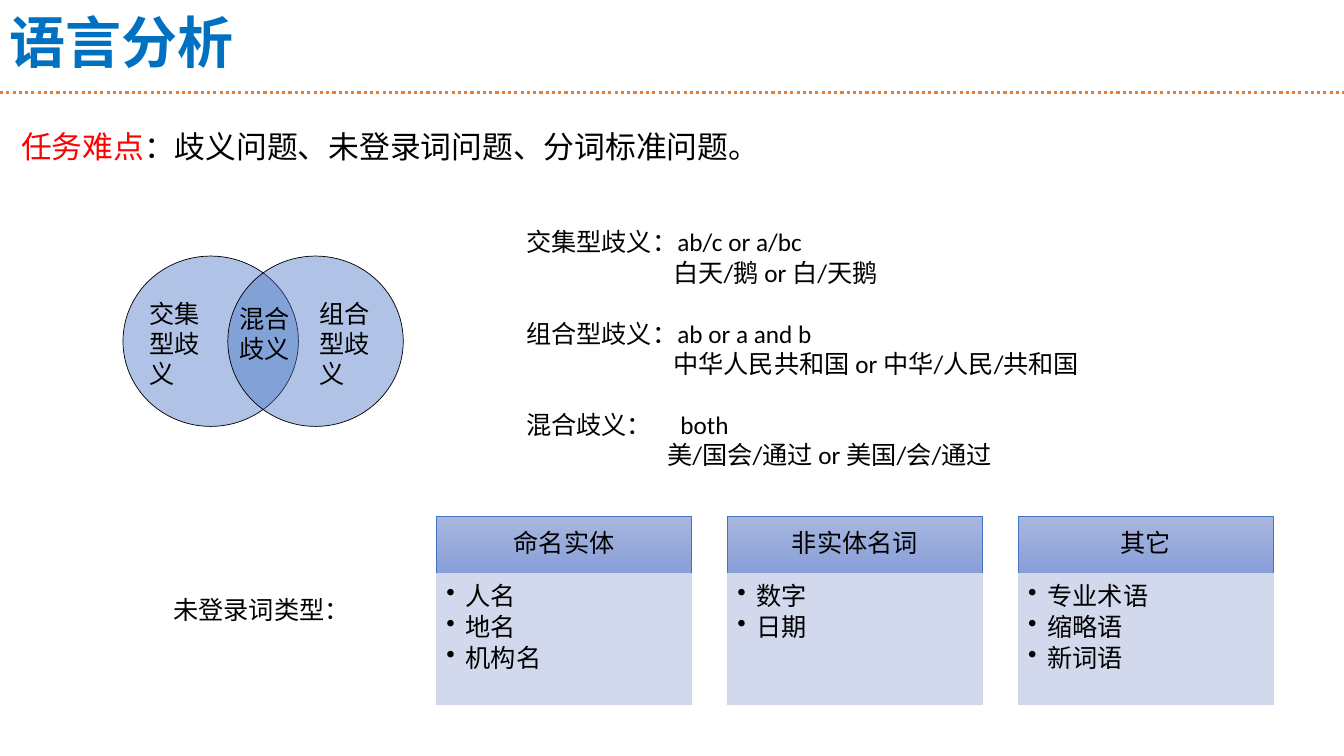
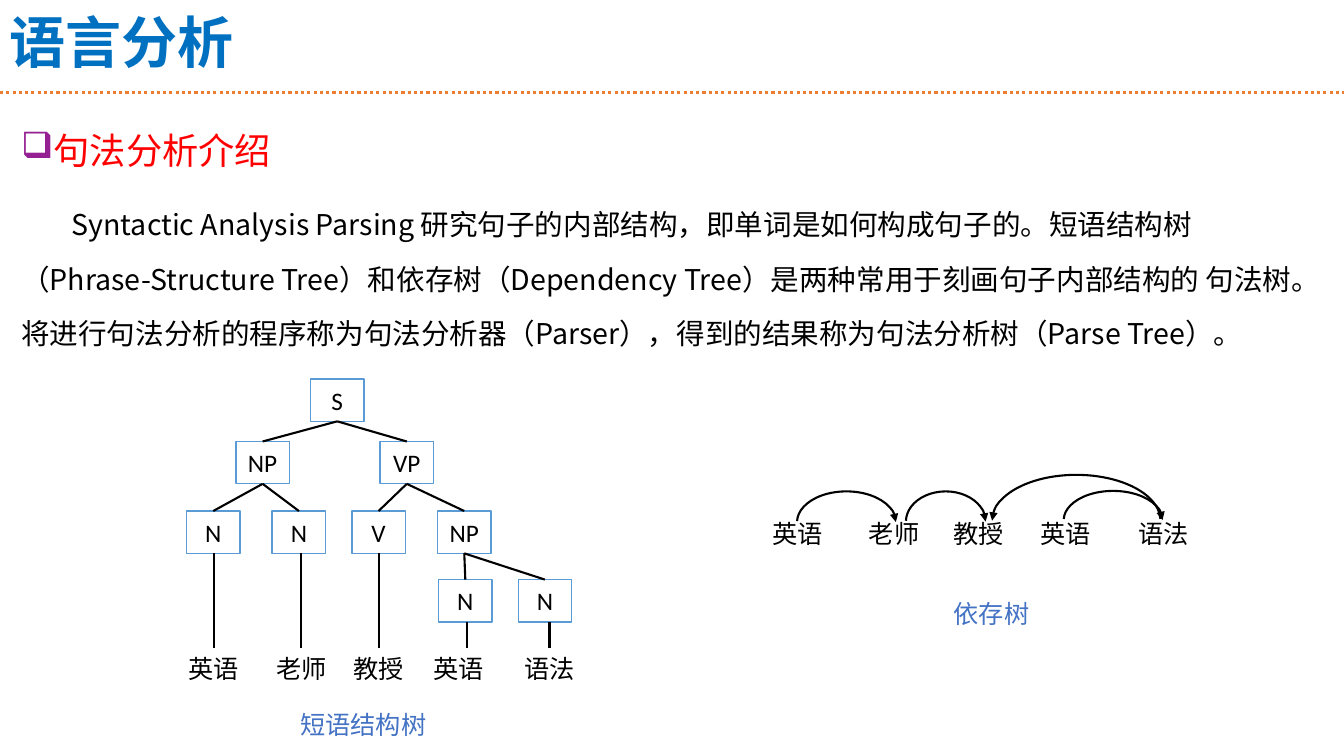
from lxml import etree
from pptx import Presentation
from pptx.dml.color import RGBColor
from pptx.enum.dml import MSO_LINE
from pptx.enum.lang import MSO_LANGUAGE_ID
from pptx.enum.shapes import MSO_CONNECTOR, MSO_SHAPE
from pptx.enum.text import MSO_ANCHOR, PP_ALIGN
from pptx.oxml.ns import qn
from pptx.util import Inches, Pt

CIRCLE, RECTANGLE, ARC = MSO_SHAPE.FLOWCHART_CONNECTOR, MSO_SHAPE.RECTANGLE, MSO_SHAPE.ARC
STRAIGHT, DOTTED = MSO_CONNECTOR.STRAIGHT, MSO_LINE.ROUND_DOT
TOP, MIDDLE = MSO_ANCHOR.TOP, MSO_ANCHOR.MIDDLE
LEFT, CENTER = PP_ALIGN.LEFT, PP_ALIGN.CENTER
CHINESE = MSO_LANGUAGE_ID.SIMPLIFIED_CHINESE

COLORS = {
    "title": "0070C0",
    "rule": "ED7D31",
    "key": "FF0000",
    "text": "000000",
    "accent": "4472C4",
    "bullet": "942093",
    "node": "5B9BD5",
    "white": "FFFFFF",
    "card": "CFD5EA",
    "card_top": "A8B7DF",
    "card_bottom": "889ED7",
}
HEADING_FONT = "Noto Sans CJK SC"
LABEL = {"name": "Calibri", "size": Pt(18), "bold": False, "color": "text"}
TITLE = {"name": HEADING_FONT, "size": Pt(40), "bold": True, "color": "title"}
BODY = {**LABEL, "name": HEADING_FONT, "size": Pt(22)}
CAPTION = {**LABEL, "name": HEADING_FONT, "color": "accent"}
BODY_INSETS = (0.08, 0.05, 0.1, 0.05)


def add_box(page, at, lines, kind=None, fill=None, outline=None, weight=0.5,
            opacity=100, anchor=TOP, insets=(0.1, 0.05, 0.1, 0.05)):
    place = [Inches(length) for length in at]
    if kind is None:
        box = page.shapes.add_textbox(*place)
    else:
        box = page.shapes.add_shape(kind, *place)
        box.shadow.inherit = False
        box.fill.solid()
        box.fill.fore_color.rgb = RGBColor.from_string(COLORS[fill])
        color = box._element.spPr.find(qn("a:solidFill")).find(qn("a:srgbClr"))
        etree.SubElement(color, qn("a:alpha"), val=str(opacity * 1000))
        box.line.color.rgb = RGBColor.from_string(COLORS[outline])
        box.line.width = Pt(weight)
    frame = box.text_frame
    frame.word_wrap = True
    frame.vertical_anchor = anchor
    for side, inset in zip(("left", "top", "right", "bottom"), insets):
        setattr(frame, f"margin_{side}", Inches(inset))
    for number, (spans, layout) in enumerate(lines):
        para = frame.add_paragraph() if number else frame.paragraphs[0]
        properties = para._p.get_or_add_pPr()
        for name, value in layout.items():
            if name in ("marL", "indent"):
                properties.set(name, str(Inches(value)))
            elif name == "bullet":
                character, color = value
                holder = etree.SubElement(properties, qn("a:buClr"))
                etree.SubElement(holder, qn("a:srgbClr"), val=COLORS[color])
                etree.SubElement(properties, qn("a:buChar"), char=character)
            elif name == "tab":
                tabs = etree.SubElement(properties, qn("a:tabLst"))
                etree.SubElement(tabs, qn("a:tab"), pos=str(Inches(value)), algn="l")
            else:
                setattr(para, name, value)
        for text, style in spans:
            span = para.add_run()
            span.text = text
            span.font.language_id = CHINESE
            for name, value in style.items():
                if name == "color":
                    span.font.color.rgb = RGBColor.from_string(COLORS[value])
                else:
                    setattr(span.font, name, value)
            etree.SubElement(span.font._element, qn("a:ea"), typeface=style["name"])
    return box


def add_line(page, start, end, color="text", weight=1.5):
    ends = [Inches(length) for length in (*start, *end)]
    line = page.shapes.add_connector(STRAIGHT, *ends)
    line.line.color.rgb = RGBColor.from_string(COLORS[color])
    line.line.width = Pt(weight)
    etree.SubElement(line._element.spPr, qn("a:effectLst"))
    return line


deck = Presentation()
deck.slide_width, deck.slide_height = Inches(13.33), Inches(7.5)
pages = [deck.slides.add_slide(deck.slide_layouts[6]) for _ in range(2)]
for page in pages:
    rule = add_line(page, (0, 0.92), (13.33, 0.92), "rule", 2.25)
    rule.line.dash_style = DOTTED
    add_box(page, (0, -0.01, 13.33, 0.92),
            [([("语言分析", TITLE)], {"line_spacing": 0.9})], anchor=MIDDLE)
ambiguity_page, parsing_page = pages

task = [("任务难点", {**BODY, "color": "key"}),
        ("：歧义问题、未登录词问题、分词标准问题。", BODY)]
add_box(ambiguity_page, (0.13, 1.14, 13.02, 0.7),
        [(task, {"line_spacing": 1.2})], insets=BODY_INSETS)

for left in (1.22, 2.26):
    add_box(ambiguity_page, (left, 2.54, 1.74, 1.69), [], CIRCLE, "accent", "text", opacity=42)
for text, left, top, height in (("交集型歧义", 1.38, 2.91, 1.01),
                                ("组合型歧义", 3.07, 2.91, 1.01),
                                ("混合歧义", 2.28, 2.96, 0.71)):
    add_box(ambiguity_page, (left, top, 0.74, height), [([(text, LABEL)], {})])

examples = []
for rule_text, example, indent in (
        ("交集型歧义：ab/c or a/bc", "白天/鹅 or 白/天鹅", 1.46),
        ("组合型歧义：ab or a and b", "中华人民共和国 or 中华/人民/共和国", 1.46),
        ("混合歧义：\tboth", "美/国会/通过 or 美国/会/通过", 1.4)):
    layout = {"tab": 1.53}
    if examples:
        layout["space_before"] = Pt(22)
    examples += [([(rule_text, LABEL)], layout),
                 ([(example, LABEL)], {"marL": indent, "indent": 0})]
add_box(ambiguity_page, (5.12, 2.2, 7.94, 2.52), examples)

add_box(ambiguity_page, (1.62, 5.85, 2.2, 0.4), [([("未登录词类型：", LABEL)], {})])
item_layout = {"marL": 0.19, "indent": -0.19, "bullet": ("•", "text"),
               "alignment": LEFT, "line_spacing": 0.9, "space_after": Pt(2.7)}
cards = {
    "命名实体": ("人名", "地名", "机构名"),
    "非实体名词": ("数字", "日期"),
    "其它": ("专业术语", "缩略语", "新词语"),
}
for column, (heading, items) in enumerate(cards.items()):
    left = 4.33 + column * 2.885
    header = add_box(ambiguity_page, (left, 5.12, 2.53, 0.57),
                     [([(heading, LABEL)], {"alignment": CENTER, "line_spacing": 0.9})],
                     RECTANGLE, "card_top", "accent", anchor=MIDDLE,
                     insets=(0.14, 0.08, 0.14, 0.08))
    header.fill.gradient()
    header.fill.gradient_angle = 270
    for stop, color in zip(header.fill.gradient_stops, ("card_top", "card_bottom")):
        stop.color.rgb = RGBColor.from_string(COLORS[color])
    add_box(ambiguity_page, (left, 5.69, 2.53, 1.3),
            [([(item, LABEL)], item_layout) for item in items],
            RECTANGLE, "card", "card", opacity=90, insets=(0.1, 0.1, 0.14, 0.16))

introduction = (
    "Syntactic Analysis Parsing 研究句子的内部结构，即单词是如何构成句子的。"
    "短语结构树（Phrase-Structure Tree）和依存树（Dependency Tree）"
    "是两种常用于刻画句子内部结构的 句法树。将进行句法分析的程序称为句法分析器"
    "（Parser），得到的结果称为句法分析树（Parse Tree）。"
)
add_box(parsing_page, (0.13, 1.14, 13.02, 2.63), [
    ([("句法分析介绍", {**BODY, "size": Pt(25.9), "color": "key"})],
     {"marL": 0.25, "indent": -0.25, "bullet": ("❑", "bullet"), "line_spacing": 1.2}),
    ([(introduction, {**BODY, "size": Pt(20.4)})],
     {"marL": 0, "indent": 0.5, "line_spacing": 1.6, "space_before": Pt(10)}),
], insets=BODY_INSETS)

NODE_WIDTH, NODE_HEIGHT = 0.53, 0.42
tree = (
    ("S", 3.08, 3.76, None),
    ("NP", 2.34, 4.38, 0),
    ("VP", 3.77, 4.38, 0),
    ("N", 1.85, 5.07, 1),
    ("N", 2.7, 5.07, 1),
    ("V", 3.49, 5.07, 2),
    ("NP", 4.34, 5.07, 2),
    ("N", 4.35, 5.75, 6),
    ("N", 5.14, 5.75, 6),
)
nodes = []
for text, left, top, parent in tree:
    node = add_box(parsing_page, (left, top, NODE_WIDTH, NODE_HEIGHT),
                   [([(text, LABEL)], {"alignment": CENTER})], RECTANGLE,
                   "white", "node", 1, anchor=MIDDLE, insets=(0, 0.05, 0, 0.05))
    nodes.append(node)
    if parent is not None:
        branch = add_line(parsing_page, (0, 0), (1, 1))
        branch.begin_connect(nodes[parent], 2)
        branch.end_connect(node, 0)

words = ("英语", "老师", "教授", "英语", "语法")
tree_words = zip(words, (1.77, 2.64, 3.41, 4.2, 5.1),
                 (2.12, 2.99, 3.76, 4.63, 5.45), (5.07, 5.07, 5.07, 5.75, 5.75))
for word, left, stem, node_top in tree_words:
    add_line(parsing_page, (stem, node_top + NODE_HEIGHT), (stem, 6.43))
    add_box(parsing_page, (left, 6.43, 0.7, 0.4), [([(word, LABEL)], {})])
for word, left in zip(words, (7.56, 8.52, 9.36, 10.22, 11.19)):
    add_box(parsing_page, (left, 5.09, 0.7, 0.4), [([(word, LABEL)], {})])
for caption, left, top in (("短语结构树", 2.88, 6.99), ("依存树", 9.36, 5.89)):
    add_box(parsing_page, (left, top, 2.16, 0.4), [([(caption, CAPTION)], {})])

for left, top, width, height, flipped in (
        (8.09, 4.69, 0.61, 0.98, True),
        (9.08, 4.78, 0.6, 0.79, True),
        (10.75, 4.67, 0.58, 0.98, True),
        (10.22, 4.33, 0.91, 1.67, False)):
    arc = parsing_page.shapes.add_shape(
        ARC, Inches(left), Inches(top), Inches(width), Inches(height))
    arc.shadow.inherit = False
    arc.rotation = 270
    for number, angle in enumerate((162, 53.26)):
        arc.adjustments[number] = angle
    if flipped:
        arc._element.spPr.find(qn("a:xfrm")).set("flipV", "1")
    arc.fill.background()
    arc.line.color.rgb = RGBColor.from_string(COLORS["text"])
    arc.line.width = Pt(1.5)
    etree.SubElement(arc.line._get_or_add_ln(), qn("a:headEnd"), type="triangle")

deck.save("out.pptx")
